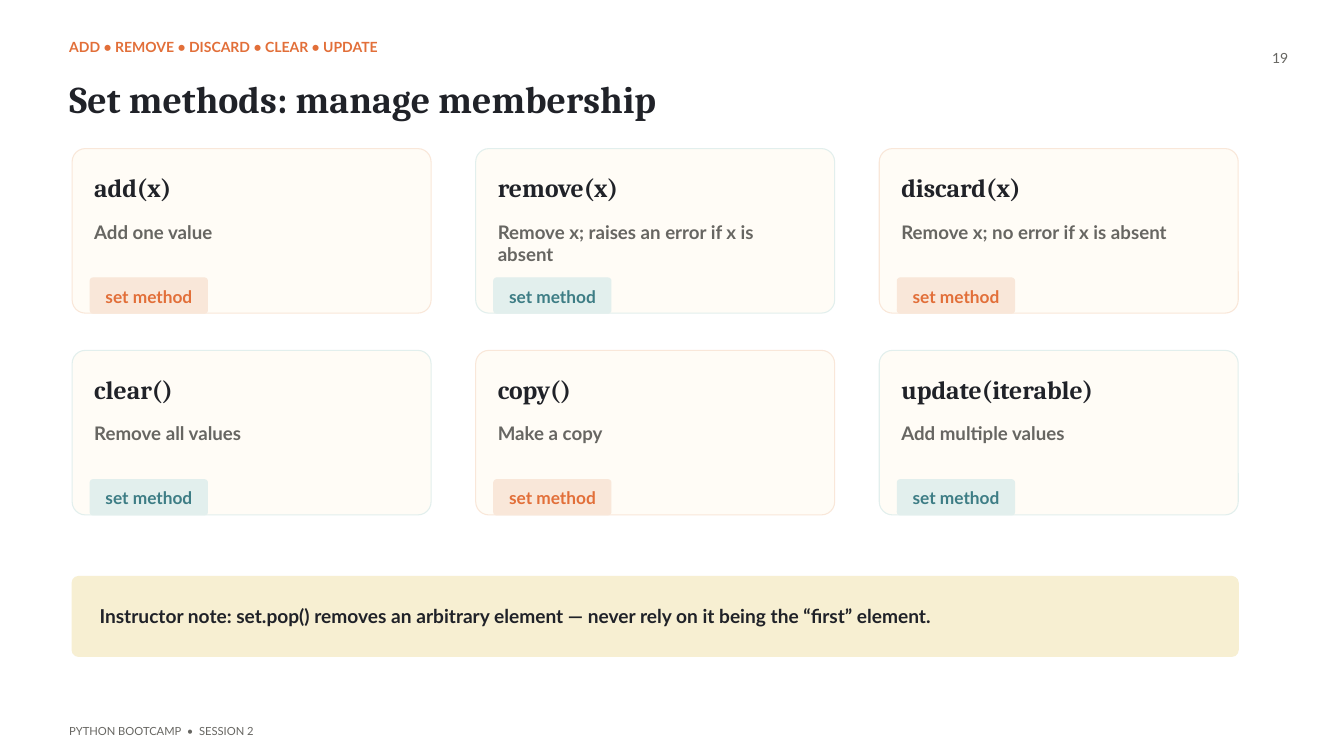
from pptx import Presentation
from pptx.dml.color import RGBColor
from pptx.enum.shapes import MSO_SHAPE
from pptx.enum.text import MSO_ANCHOR, MSO_AUTO_SIZE, PP_ALIGN
from pptx.util import Pt

COLORS = {
    "ink": "202228",
    "muted": "676662",
    "orange": "E26F39",
    "orange_tint": "F9E7D9",
    "teal": "3D7D85",
    "teal_tint": "E2EFED",
    "card": "FFFCF6",
    "note": "F7EFD2",
}
HEADING_FONT = "Cambria"
BODY_FONT = "Lato"

CARD_LEFT, CARD_TOP = 77.3, 159.2
CARD_WIDTH, CARD_HEIGHT = 384.6, 176.3
COLUMN_STEP, ROW_STEP = 432.4, 216.2
COLUMNS = 3

METHODS = [
    ("add(x)", "Add one value"),
    ("remove(x)", "Remove x; raises an error if x is absent"),
    ("discard(x)", "Remove x; no error if x is absent"),
    ("clear()", "Remove all values"),
    ("copy()", "Make a copy"),
    ("update(iterable)", "Add multiple values"),
]


def color(name):
    return RGBColor.from_string(COLORS[name])


def place(shape, left, top, width, height):
    shape.left, shape.top = Pt(left), Pt(top)
    shape.width, shape.height = Pt(width), Pt(height)


def write(box, text, size, ink, font=BODY_FONT, bold=True, align=PP_ALIGN.LEFT):
    frame = box.text_frame
    frame.text = text
    frame.word_wrap = True
    frame.auto_size = MSO_AUTO_SIZE.NONE
    frame.vertical_anchor = MSO_ANCHOR.TOP
    frame.margin_left = frame.margin_right = 0
    frame.margin_top = frame.margin_bottom = 0
    para = frame.paragraphs[0]
    para.alignment = align
    para.line_spacing = Pt(size * 1.2)
    span = para.runs[0]
    span.font.name = font
    span.font.size = Pt(size)
    span.font.bold = bold
    span.font.color.rgb = color(ink)


def add_text(page, left, top, width, height, text, size, ink, **style):
    box = page.shapes.add_textbox(Pt(left), Pt(top), Pt(width), Pt(height))
    write(box, text, size, ink, **style)


def add_panel(page, left, top, width, height, radius, fill, line):
    panel = page.shapes.add_shape(
        MSO_SHAPE.ROUNDED_RECTANGLE, Pt(left), Pt(top), Pt(width), Pt(height)
    )
    panel.adjustments[0] = radius / min(width, height)
    panel.shadow.inherit = False
    panel.fill.solid()
    panel.fill.fore_color.rgb = color(fill)
    panel.line.color.rgb = color(line)
    panel.line.width = Pt(1.13)


def add_card(page, left, top, method, description, accent):
    tint = f"{accent}_tint"
    add_panel(page, left, top, CARD_WIDTH, CARD_HEIGHT, 14.1, "card", tint)
    add_text(page, left + 23.6, top + 25, 333.2, 34, method, 27.5, "ink",
             font=HEADING_FONT)
    add_text(page, left + 23.6, top + 77, 333.2, 48, description, 20, "muted")
    add_panel(page, left + 19.3, top + 138.6, 125.6, 37.7, 3.2, tint, tint)
    add_text(page, left + 32.2, top + 147, 100, 22, "set method", 18.5, accent,
             align=PP_ALIGN.CENTER)


def add_title(page, text):
    title = page.shapes.title
    place(title, 74.2, 80.7, 1203, 64)
    write(title, text, 40.5, "ink", font=HEADING_FONT)


def main():
    deck = Presentation()
    deck.slide_width, deck.slide_height = Pt(1440), Pt(810)
    page = deck.slides.add_slide(deck.slide_layouts[5])

    add_text(page, 74.2, 41.8, 620, 31,
             "ADD • REMOVE • DISCARD • CLEAR • UPDATE", 15, "orange")
    add_title(page, "Set methods: manage membership")
    add_text(page, 1327.7, 52.6, 52.6, 31, "19", 15, "muted",
             bold=False, align=PP_ALIGN.RIGHT)

    for index, (method, description) in enumerate(METHODS):
        row, column = divmod(index, COLUMNS)
        accent = "teal" if (row + column) % 2 else "orange"
        add_card(page, CARD_LEFT + column * COLUMN_STEP,
                 CARD_TOP + row * ROW_STEP, method, description, accent)

    note_width = CARD_WIDTH + (COLUMNS - 1) * COLUMN_STEP
    add_panel(page, CARD_LEFT, 617.6, note_width, 85.7, 7, "note", "note")
    add_text(page, 106.6, 648, 1187, 24,
             "Instructor note: set.pop() removes an arbitrary element — "
             "never rely on it being the “first” element.", 20.5, "ink")
    add_text(page, 74.2, 776.2, 695.5, 16.6,
             "PYTHON BOOTCAMP  •  SESSION 2", 12, "muted", bold=False)

    deck.save("out.pptx")


if __name__ == "__main__":
    main()
